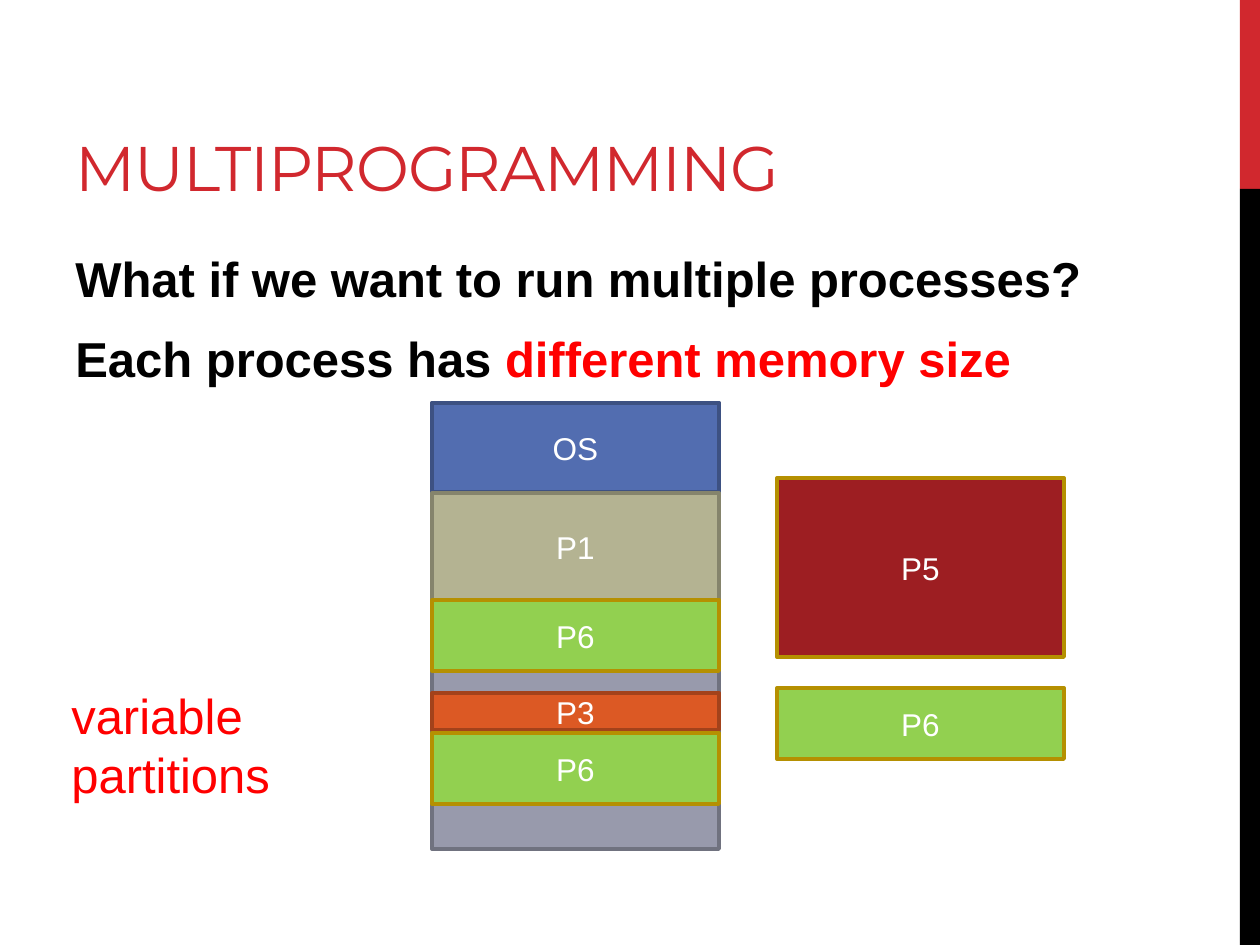
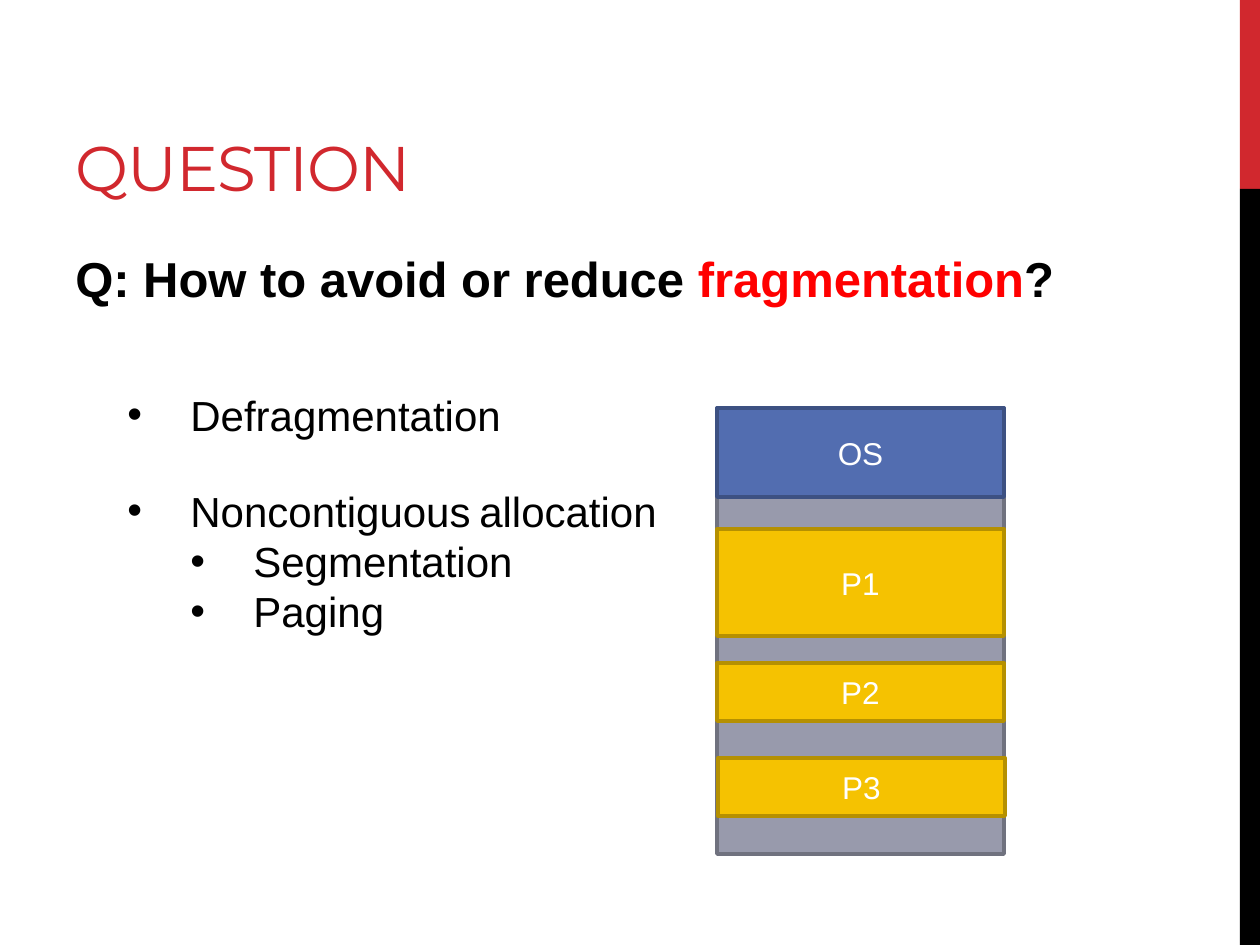
"""Two slides on memory partitions: multiprogramming and fragmentation."""
import pptx
import pptx.dml.color
import pptx.enum.shapes
import pptx.enum.text
import pptx.oxml.ns
import pptx.util
from lxml import etree

RGB = pptx.dml.color.RGBColor
ALIGN = pptx.enum.text.PP_ALIGN
ANCHOR = pptx.enum.text.MSO_ANCHOR
RECT = pptx.enum.shapes.MSO_SHAPE.RECTANGLE

BLACK = RGB(0x00, 0x00, 0x00)
WHITE = RGB(0xFF, 0xFF, 0xFF)
RED = RGB(0xFF, 0x00, 0x00)
CRIMSON = RGB(0xD1, 0x28, 0x2E)
GOLD_EDGE = RGB(0xB5, 0x90, 0x01)

STYLES = {
    "free": (RGB(0x98, 0x9A, 0xAC), RGB(0x70, 0x72, 0x7F)),
    "os": (RGB(0x52, 0x6D, 0xB0), RGB(0x3D, 0x51, 0x82)),
    "olive": (RGB(0xB4, 0xB3, 0x92), RGB(0x85, 0x84, 0x6C)),
    "orange": (RGB(0xDC, 0x59, 0x24), RGB(0xA3, 0x42, 0x1B)),
    "maroon": (RGB(0x9D, 0x1E, 0x22), GOLD_EDGE),
    "green": (RGB(0x92, 0xD0, 0x50), GOLD_EDGE),
    "gold": (RGB(0xF5, 0xC2, 0x01), GOLD_EDGE),
}

PX = 914400 // 126
BLOCK_W = 287
MEMORY_H = 446
OS_H = 89
BULLET_STEP = 63

SLIDES = [
    {
        "title": "MULTIPROGRAMMING",
        "body": [
            ["What if we want to run multiple processes?"],
            ["Each process has ", ("different memory size", {"color": RED})],
        ],
        "memory": (432, 403),
        "blocks": [
            ("P1", "olive", 432, 493, 107),
            ("P3", "orange", 432, 693, 37),
            ("P5", "maroon", 777, 478, 179),
            ("P6", "green", 777, 688, 71),
            ("P6", "green", 432, 600, 71),
            ("P6", "green", 432, 733, 71),
        ],
        "notes": [
            ((59, 679, 302, 131), [["variable"], ["partitions"]], {"size": 28, "color": RED}),
        ],
    },
    {
        "title": "QUESTION",
        "body": [["Q: How to avoid or reduce ", ("fragmentation", {"color": RED}), "?"]],
        "memory": (717, 408),
        "blocks": [
            ("P1", "gold", 717, 529, 107),
            ("P2", "gold", 717, 663, 58),
            ("P3", "gold", 718, 758, 58),
        ],
        "notes": [
            ((115, 383, 630, 63), [["Defragmentation"]], {"size": 24, "levels": [0]}),
            (
                (115, 479, 561, 165),
                [["Noncontiguous", (" ", {"size": 18}), "allocation"], ["Segmentation"], ["Paging"]],
                {"size": 24, "levels": [0, 1, 1]},
            ),
        ],
    },
]


def write(tf, paragraphs, size=18, color=BLACK, font="Arial", bold=False, align=ALIGN.LEFT,
          anchor=ANCHOR.TOP, before=0, after=0, spacing=None, levels=None):
    tf.word_wrap = True
    tf.vertical_anchor = anchor
    for i, runs in enumerate(paragraphs):
        p = tf.paragraphs[0] if i == 0 else tf.add_paragraph()
        p.alignment = align
        p.space_before = pptx.util.Pt(before)
        p.space_after = pptx.util.Pt(after)
        if levels:
            add_bullet(p, levels[i])
        for run in runs:
            text, own = (run, {}) if isinstance(run, str) else run
            r = p.add_run()
            r.text = text
            r.font.name = font
            r.font.bold = bold
            r.font.size = pptx.util.Pt(own.get("size", size))
            r.font.color.rgb = own.get("color", color)
            if spacing is not None:
                r.font._element.set("spc", str(spacing))


def add_bullet(p, level):
    p.level = level
    pPr = p._p.get_or_add_pPr()
    pPr.set("marL", str((level + 1) * BULLET_STEP * PX))
    pPr.set("indent", str(-BULLET_STEP * PX))
    etree.SubElement(pPr, pptx.oxml.ns.qn("a:buFont")).set("typeface", "Arial")
    etree.SubElement(pPr, pptx.oxml.ns.qn("a:buChar")).set("char", "\u2022")


def add_text(s, box, paragraphs, **fmt):
    sp = s.shapes.add_textbox(*(v * PX for v in box))
    write(sp.text_frame, paragraphs, **fmt)


def add_rect(s, box, fill, edge=None):
    sp = s.shapes.add_shape(RECT, *(v * PX for v in box))
    sp.shadow.inherit = False
    sp.fill.solid()
    sp.fill.fore_color.rgb = fill
    if edge is None:
        sp.line.fill.background()
    else:
        sp.line.color.rgb = edge
        sp.line.width = pptx.util.Pt(2.25)
    return sp


def add_block(s, label, style, x, y, h):
    sp = add_rect(s, (x, y, BLOCK_W, h), *STYLES[style])
    if label:
        write(sp.text_frame, [[label]], color=WHITE, align=ALIGN.CENTER, anchor=ANCHOR.MIDDLE)


def add_frame(s, title, body):
    add_rect(s, (1240, 0, 20, 189), CRIMSON)
    add_rect(s, (1240, 189, 20, 756), BLACK)
    add_text(s, (63, 21, 798, 189), [[title]], size=36, color=CRIMSON, font="Montserrat",
             anchor=ANCHOR.BOTTOM, spacing=-60)
    add_text(s, (63, 242, 1050, 602), body, size=28, bold=True, before=6.5, after=6)


prs = pptx.Presentation()
prs.slide_width = 1260 * PX
prs.slide_height = 945 * PX
for content in SLIDES:
    s = prs.slides.add_slide(prs.slide_layouts[6])
    add_frame(s, content["title"], content["body"])
    add_block(s, "", "free", *content["memory"], MEMORY_H)
    add_block(s, "OS", "os", *content["memory"], OS_H)
    for block in content["blocks"]:
        add_block(s, *block)
    for box, paragraphs, fmt in content["notes"]:
        add_text(s, box, paragraphs, **fmt)
prs.save("out.pptx")
